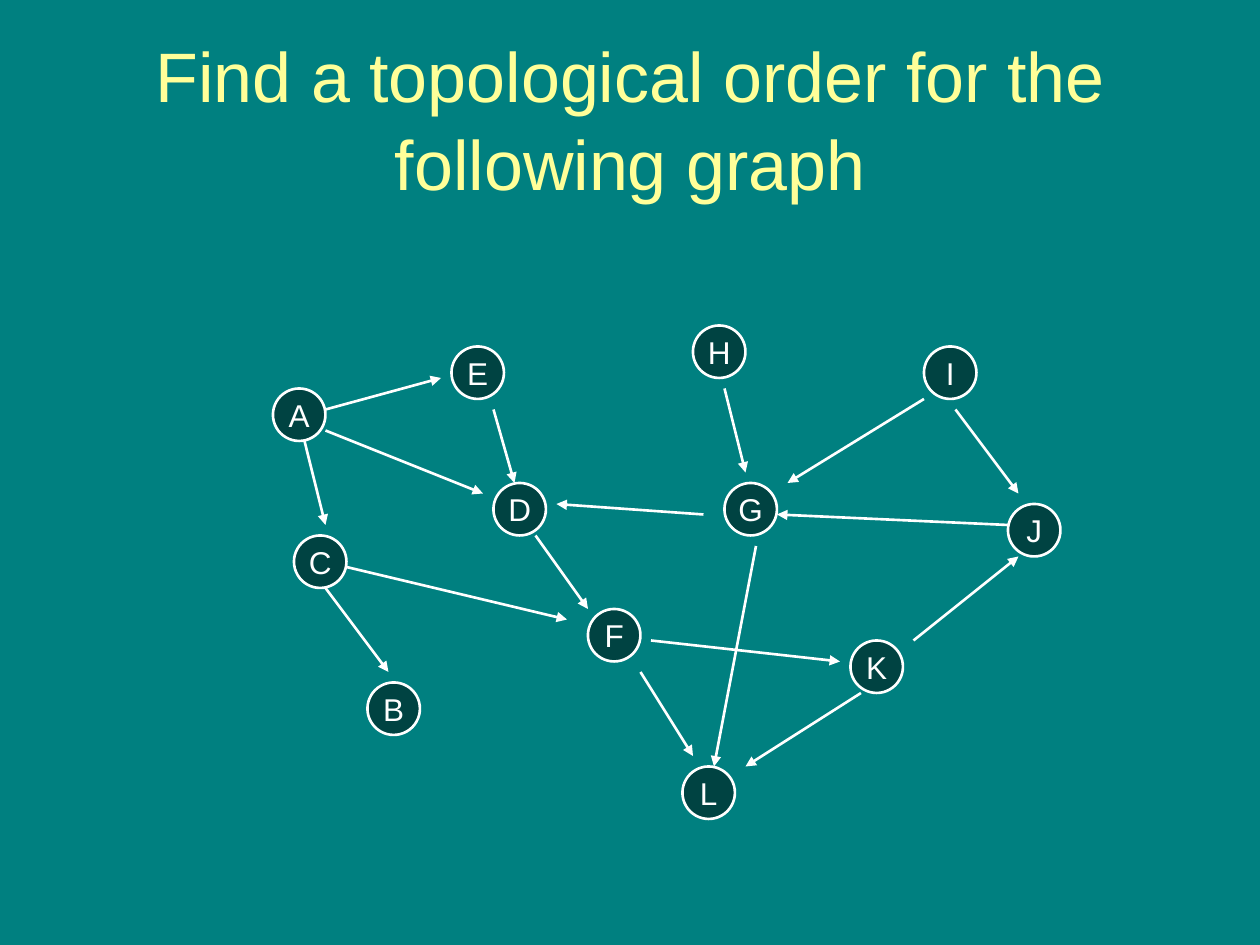
from lxml import etree
from pptx import Presentation
from pptx.dml.color import RGBColor
from pptx.enum import shapes, text
from pptx.oxml import ns
from pptx import util as u

PX = 9525
CELL = 8
NODE = 5
FONT = "Arial"
COLORS = {"back": "008080", "title": "FFFF99", "node": "004342", "light": "FFFFFF"}
NODES = {
    "E": (17, 2), "F": (30, 27), "D": (21, 15), "A": (0, 6),
    "C": (2, 20), "B": (9, 34), "K": (55, 30), "J": (70, 17),
    "G": (43, 15), "H": (40, 0), "I": (62, 2), "L": (39, 42),
}
EDGES = {
    "AE": (5, 8, 16, 5), "AD": (5, 10, 20, 16), "AC": (3, 11, 5, 19),
    "DF": (25, 20, 30, 27), "FK": (36, 30, 54, 32), "KJ": (61, 30, 71, 22),
    "GD": (41, 18, 27, 17), "JG": (70, 19, 48, 18), "HG": (43, 6, 45, 14),
    "ED": (21, 8, 23, 15), "CB": (5, 25, 11, 33), "CF": (7, 23, 28, 28),
    "FL": (35, 33, 40, 41), "GL": (46, 21, 42, 42), "KL": (56, 35, 45, 42),
    "IG": (62, 7, 49, 15), "IJ": (65, 8, 71, 16),
}


def rgb(name):
    """Return the named colour."""
    return RGBColor.from_string(COLORS[name])


def write(sp, words, size, color, wrap):
    """Set centred text on a shape."""
    tf = sp.text_frame
    tf.text = words
    tf.word_wrap = wrap
    tf.vertical_anchor = text.MSO_ANCHOR.MIDDLE
    p = tf.paragraphs[0]
    p.alignment = text.PP_ALIGN.CENTER
    font = p.runs[0].font
    font.name, font.size = FONT, u.Pt(size)
    font.color.rgb = rgb(color)
    return p


def outline(sp):
    """Give a shape or connector the light line."""
    sp.line.color.rgb = rgb("light")
    sp.line.width = u.Pt(1.5)


def add_title(slide, left, top, width, height):
    """Place the heading in its box."""
    sp = slide.shapes.add_textbox(*(v * PX for v in (left, top, width, height)))
    p = write(sp, "Find a topological order for the following graph", 40, "title", True)
    p.line_spacing = 1.05


def add_node(slide, name, x, y):
    """Place one lettered circle."""
    size = NODE * CELL * PX
    sp = slide.shapes.add_shape(shapes.MSO_SHAPE.OVAL, x * PX, y * PX, size, size)
    sp.shadow.inherit = False
    sp.fill.solid()
    sp.fill.fore_color.rgb = rgb("node")
    outline(sp)
    write(sp, name, 18, "light", False)


def add_arrow(slide, x1, y1, x2, y2):
    """Draw one arrow with its head at the second point."""
    ends = (v * PX for v in (x1, y1, x2, y2))
    sp = slide.shapes.add_connector(shapes.MSO_CONNECTOR.STRAIGHT, *ends)
    outline(sp)
    etree.SubElement(sp.line._get_or_add_ln(), ns.qn("a:tailEnd"), type="triangle")
    etree.SubElement(sp._element.spPr, ns.qn("a:effectLst"))


def add_graph(slide, left, top):
    """Place the directed graph on a grid from its top left corner."""
    for name, (col, row) in NODES.items():
        add_node(slide, name, left + col * CELL, top + row * CELL)
    for x1, y1, x2, y2 in EDGES.values():
        add_arrow(slide, left + x1 * CELL, top + y1 * CELL,
                  left + x2 * CELL, top + y2 * CELL)


def main():
    """Build and save the slide."""
    prs = Presentation()
    prs.slide_width, prs.slide_height = 960 * PX, 720 * PX
    slide = prs.slides.add_slide(prs.slide_layouts[6])
    slide.background.fill.solid()
    slide.background.fill.fore_color.rgb = rgb("back")
    add_title(slide, 48, 29, 864, 120)
    add_graph(slide, 208, 248)
    prs.save("out.pptx")


if __name__ == "__main__":
    main()
